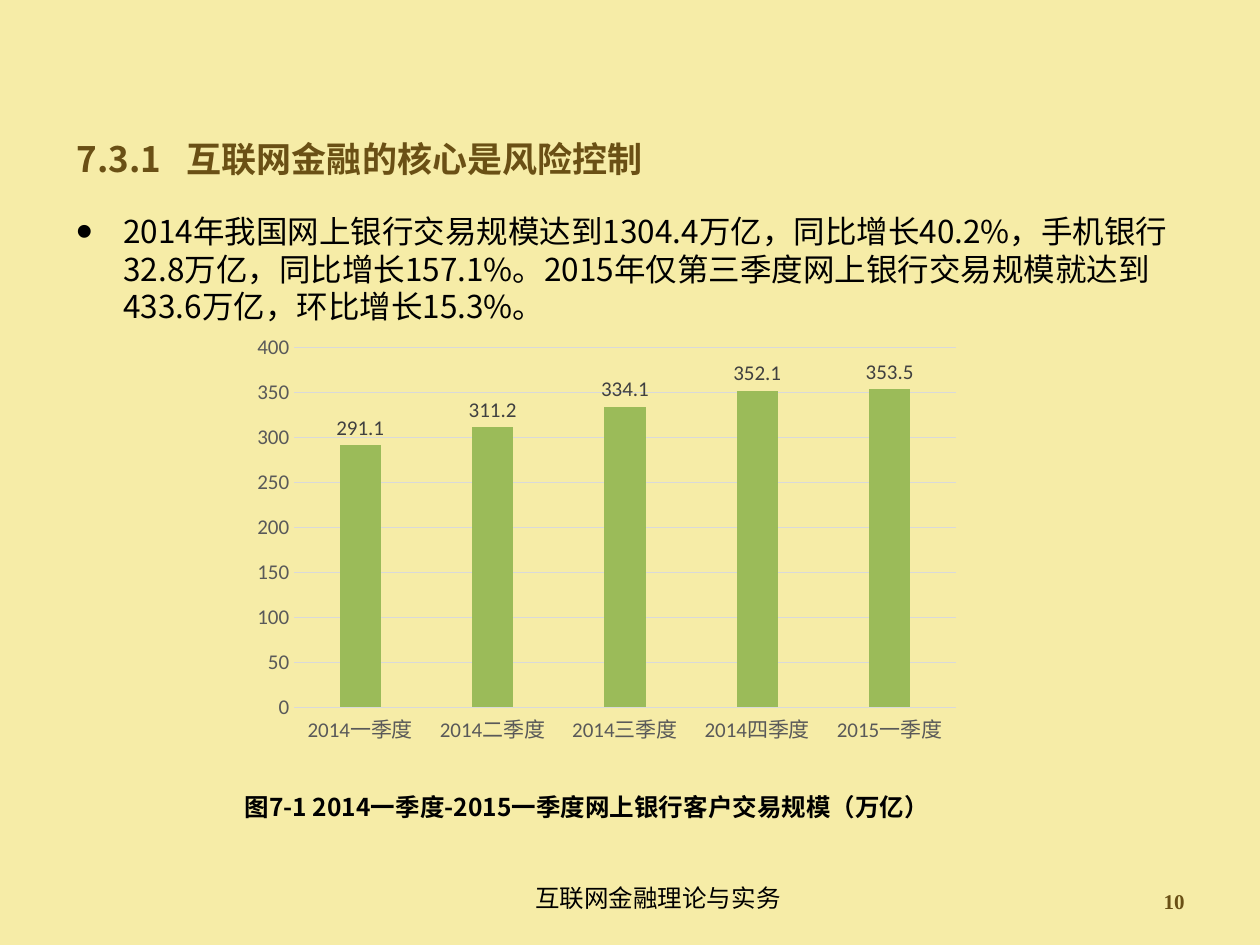
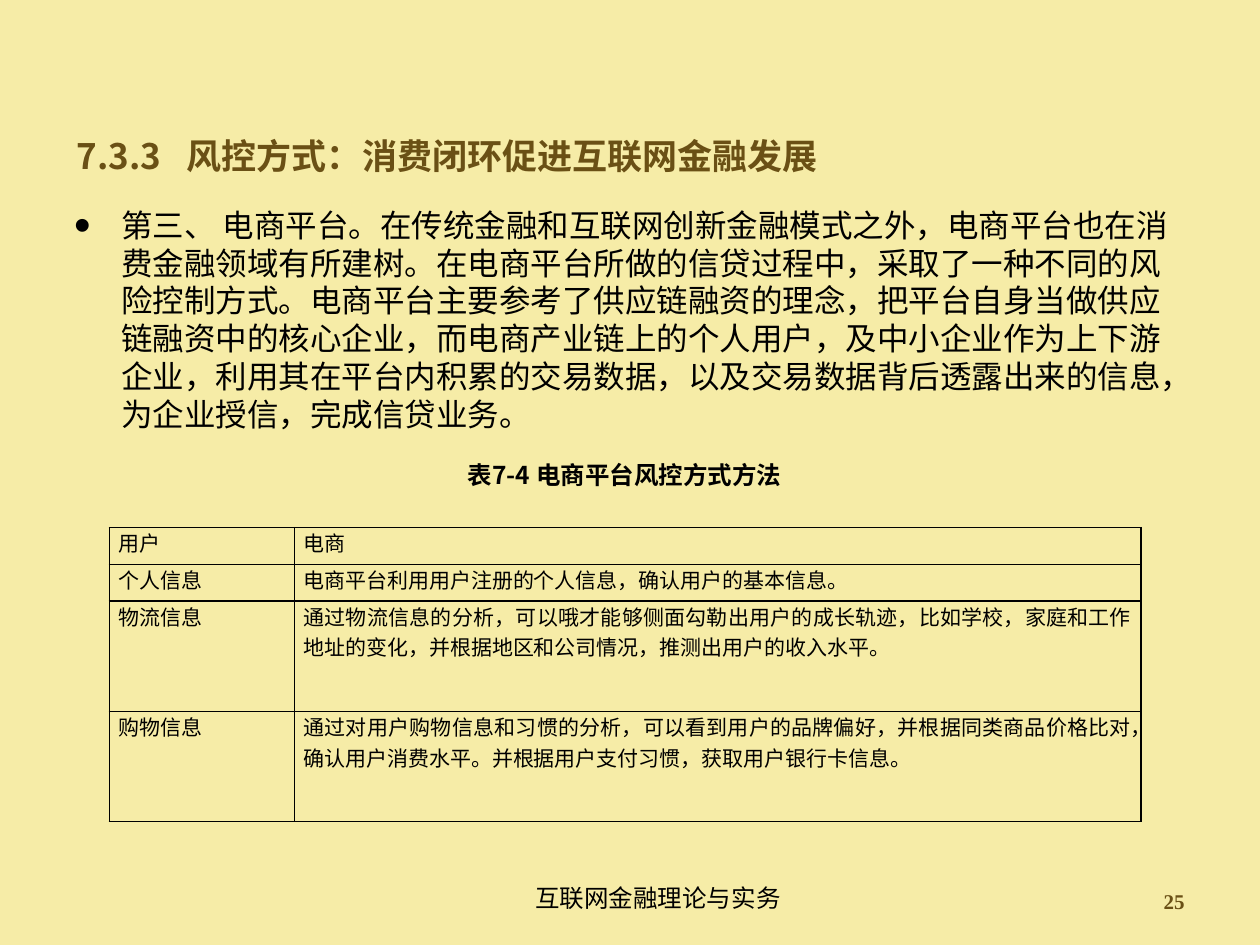
from lxml import etree
from pptx import Presentation
from pptx.chart.data import CategoryChartData
from pptx.dml.color import RGBColor
from pptx.enum.chart import XL_CHART_TYPE as CT, XL_LABEL_POSITION as LP, XL_TICK_MARK as TM
from pptx.enum.text import MSO_ANCHOR as MA, MSO_AUTO_SIZE as AS, PP_ALIGN as AL
from pptx.oxml import parse_xml
from pptx.oxml.ns import nsdecls, qn
from pptx.util import Pt

CREAM = RGBColor(0xF6, 0xEC, 0xA7)
BROWN = RGBColor(0x6A, 0x50, 0x15)
BLACK = RGBColor(0, 0, 0)
GREEN = RGBColor(0x9B, 0xBB, 0x59)
AXIS_GREY = RGBColor(0x59, 0x59, 0x59)
LABEL_GREY = RGBColor(0x40, 0x40, 0x40)
GRID_GREY = RGBColor(0xD9, 0xD9, 0xD9)
CJK, LATIN, SERIF = "Noto Sans CJK SC", "Calibri", "Times New Roman"
FOOTER = "互联网金融理论与实务"


class Deck:
    def __init__(self):
        self.prs = Presentation()
        self.prs.slide_width, self.prs.slide_height = Pt(720), Pt(540)
        fill = self.prs.slide_master.background.fill
        fill.solid()
        fill.fore_color.rgb = CREAM
        self.s = None

    def font(self, f, size, color, name, bold=False):
        f.size, f.name, f.bold = Pt(size), name, bold
        f.color.rgb = color

    def para(self, p, text, size, color=BLACK, name=CJK, bold=False, align=AL.LEFT):
        p.text = text
        p.alignment = align
        for r in p.runs:
            self.font(r.font, size, color, name, bold)
            etree.SubElement(r._r.get_or_add_rPr(), qn("a:ea"), typeface=CJK)

    def slide(self, number, title, top):
        self.s = self.prs.slides.add_slide(self.prs.slide_layouts[5])
        sp = self.s.shapes.title
        sp.left, sp.top, sp.width, sp.height = Pt(36.5), Pt(top), Pt(647), Pt(57)
        tf = sp.text_frame
        tf.auto_size, tf.vertical_anchor = AS.NONE, MA.MIDDLE
        p = tf.paragraphs[0]
        self.para(p, title, 20, BROWN, bold=True)
        tabs = etree.SubElement(p._p.get_or_add_pPr(), qn("a:tabLst"))
        etree.SubElement(tabs, qn("a:tab"), pos=str(Pt(63)), algn="l")
        self.text(FOOTER, 220, 501.5, 312, 24, 14, align=AL.CENTER, spacing=16.6)
        tf = self.text(number, 516, 500.5, 168, 29, 12, BROWN, SERIF, True, AL.RIGHT)
        tf.vertical_anchor = MA.MIDDLE

    def text(self, text, left, top, width, height, size, color=BLACK, name=CJK,
             bold=False, align=AL.LEFT, spacing=None):
        sp = self.s.shapes.add_textbox(Pt(left), Pt(top), Pt(width), Pt(height))
        tf = sp.text_frame
        tf.word_wrap = True
        p = tf.paragraphs[0]
        self.para(p, text, size, color, name, bold, align)
        if spacing:
            p.line_spacing = Pt(spacing)
        return tf

    def caption(self, text, left, top, width, height=24):
        self.text(text, left, top, width, height, 14, bold=True, align=AL.CENTER, spacing=16.6)

    def bullet(self, text, left, top, height):
        tf = self.text(text, left, top, 648, height, 18, spacing=21.6)
        pPr = tf.paragraphs[0]._p.get_or_add_pPr()
        pPr.set("marL", str(Pt(27)))
        pPr.set("indent", str(-Pt(27)))
        etree.SubElement(pPr, qn("a:buSzPct"), val="150000")
        etree.SubElement(pPr, qn("a:buFont"), typeface="Arial")
        etree.SubElement(pPr, qn("a:buChar"), char="•")

    def chart(self, cats, vals, left, top, width, height):
        data = CategoryChartData()
        data.categories = cats
        data.add_series("Series 1", vals)
        chart = self.s.shapes.add_chart(
            CT.COLUMN_CLUSTERED, Pt(left), Pt(top), Pt(width), Pt(height), data).chart
        chart.has_legend = chart.has_title = False
        self.font(chart.font, 10, BLACK, LATIN)
        for axis in (chart.category_axis, chart.value_axis):
            axis.major_tick_mark = axis.minor_tick_mark = TM.NONE
            self.font(axis.tick_labels.font, 12, AXIS_GREY, LATIN)
        axis.minimum_scale, axis.maximum_scale, axis.major_unit = 0, 400, 50
        axis.format.line.fill.background()
        for line in (chart.category_axis.format.line, axis.major_gridlines.format.line):
            line.color.rgb, line.width = GRID_GREY, Pt(0.75)
        plot = chart.plots[0]
        plot.gap_width, plot.overlap, plot.vary_by_categories = 219, -27, False
        fill = plot.series[0].format.fill
        fill.solid()
        fill.fore_color.rgb = GREEN
        labels = plot.series[0].data_labels
        labels.show_value, labels.position = True, LP.OUTSIDE_END
        self.font(labels.font, 12, LABEL_GREY, LATIN)
        area = chart._chartSpace.chart.plotArea
        for old in area.findall(qn("c:layout")):
            area.remove(old)
        area.insert(0, parse_xml(
            f'<c:layout {nsdecls("c")}><c:manualLayout><c:layoutTarget val="inner"/>'
            '<c:xMode val="edge"/><c:yMode val="edge"/><c:x val="0.07"/><c:y val="0.05"/>'
            '<c:w val="0.91"/><c:h val="0.85"/></c:manualLayout></c:layout>'))

    def table(self, rows, left, top, widths, heights):
        tbl = self.s.shapes.add_table(len(rows), len(widths), Pt(left), Pt(top),
                                      Pt(sum(widths)), Pt(sum(heights))).table
        tbl.first_row = tbl.horz_banding = False
        for col, width in zip(tbl.columns, widths):
            col.width = Pt(width)
        for row, height, texts in zip(tbl.rows, heights, rows):
            row.height = Pt(height)
            for cell, text in zip(row.cells, texts):
                cell.margin_left = cell.margin_right = Pt(5)
                cell.margin_top = cell.margin_bottom = 0
                self.para(cell.text_frame.paragraphs[0], text, 12, name=LATIN, align=AL.JUSTIFY)
                tcPr = cell._tc.get_or_add_tcPr()
                for side in "LRTB":
                    tcPr.append(parse_xml(
                        f'<a:ln{side} {nsdecls("a")} w="{Pt(1)}"><a:solidFill>'
                        f'<a:srgbClr val="{BLACK}"/></a:solidFill></a:ln{side}>'))
                cell.fill.background()


def main():
    d = Deck()
    d.slide("10", "7.3.1\t互联网金融的核心是风险控制", 62)
    d.chart(["2014一季度", "2014二季度", "2014三季度", "2014四季度", "2015一季度"],
            [291.1, 311.2, 334.1, 352.1, 353.5], 139, 186.5, 415.5, 242)
    d.bullet("2014年我国网上银行交易规模达到1304.4万亿，同比增长40.2%，手机银行32.8万亿，"
             "同比增长157.1%。2015年仅第三季度网上银行交易规模就达到433.6万亿，"
             "环比增长15.3%。", 36.5, 117.5, 72)
    d.caption("图7-1 2014一季度-2015一季度网上银行客户交易规模（万亿）", 127.5, 449.5, 416, 41)

    d.slide("25", "7.3.3\t风控方式：消费闭环促进互联网金融发展", 60.5)
    d.bullet("第三、 电商平台。在传统金融和互联网创新金融模式之外，电商平台也在消费金融领域"
             "有所建树。在电商平台所做的信贷过程中，采取了一种不同的风险控制方式。电商平台主要"
             "参考了供应链融资的理念，把平台自身当做供应链融资中的核心企业，而电商产业链上的"
             "个人用户，及中小企业作为上下游企业，利用其在平台内积累的交易数据，以及交易数据"
             "背后透露出来的信息，为企业授信，完成信贷业务。", 35.3, 114, 140)
    d.caption("表7-4 电商平台风控方式方法", 242.5, 259.5, 229)
    d.table([
        ("用户", "电商"),
        ("个人信息", "电商平台利用用户注册的个人信息，确认用户的基本信息。"),
        ("物流信息", "通过物流信息的分析，可以哦才能够侧面勾勒出用户的成长轨迹，比如学校，"
                 "家庭和工作地址的变化，并根据地区和公司情况，推测出用户的收入水平。"),
        ("购物信息", "通过对用户购物信息和习惯的分析，可以看到用户的品牌偏好，并根据同类商品"
                 "价格比对，确认用户消费水平。并根据用户支付习惯，获取用户银行卡信息。"),
    ], 62.5, 301.5, [105.8, 483.8], [21, 21, 63, 63])
    d.prs.save("out.pptx")


if __name__ == "__main__":
    main()
